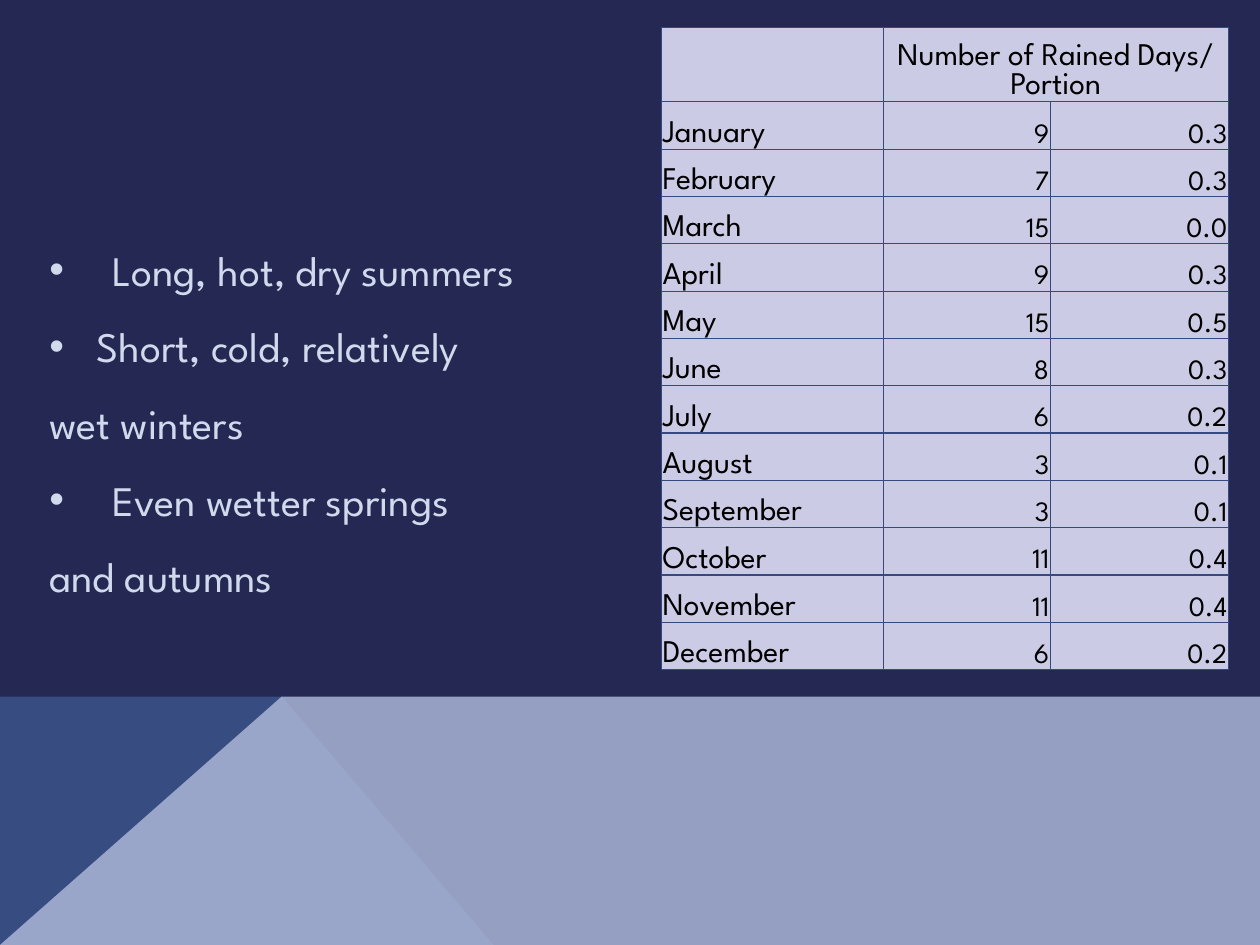
"""Build a climate slide with a list of seasons and a table of rainy days."""
import lxml.etree
import pptx
import pptx.dml.color
import pptx.enum.text
import pptx.oxml
import pptx.oxml.ns
import pptx.util

Pt = pptx.util.Pt
RGBColor = pptx.dml.color.RGBColor
ALIGN = pptx.enum.text.PP_ALIGN
ANCHOR = pptx.enum.text.MSO_ANCHOR
qn = pptx.oxml.ns.qn

FONT = "League Spartan"
NAVY = RGBColor(0x24, 0x28, 0x52)
BLUE = RGBColor(0x37, 0x4C, 0x81)
HAZE = RGBColor(0xB2, 0xBD, 0xDD)
PALE = RGBColor(0xD1, 0xD9, 0xEC)
LILAC = RGBColor(0xCB, 0xCB, 0xE5)
BORDER = RGBColor(0x34, 0x4A, 0x80)
BLACK = RGBColor(0, 0, 0)

SEASONS = [
    ("Long, hot, dry summers", 36),
    ("Short, cold, relatively", 27),
    ("wet winters", 0),
    ("Even wetter springs", 36),
    ("and autumns", 0),
]
HEADING = "Number of Rained Days/ Portion"
RAIN = [
    ("January", "9", "0.3"),
    ("February", "7", "0.3"),
    ("March", "15", "0.0"),
    ("April", "9", "0.3"),
    ("May", "15", "0.5"),
    ("June", "8", "0.3"),
    ("July", "6", "0.2"),
    ("August", "3", "0.1"),
    ("September", "3", "0.1"),
    ("October", "11", "0.4"),
    ("November", "11", "0.4"),
    ("December", "6", "0.2"),
]


def add_polygon(slide, points, color, opacity=100):
    """Draw a closed, borderless polygon through points given in points."""
    builder = slide.shapes.build_freeform(*points[0], scale=Pt(1))
    builder.add_line_segments(points[1:], close=True)
    shape = builder.convert_to_shape()
    shape.shadow.inherit = False
    shape.line.fill.background()
    shape.fill.solid()
    shape.fill.fore_color.rgb = color
    if opacity < 100:
        fill_color = shape.fill._xPr.find(".//" + qn("a:srgbClr"))
        alpha = lxml.etree.SubElement(fill_color, qn("a:alpha"))
        alpha.set("val", str(opacity * 1000))


def add_footer_band(slide, left, top, width, height):
    """Draw the overlapping slopes that fill the bottom band."""
    right, bottom = left + width, top + height
    peak = (left + 160.6, top)
    add_polygon(slide, [(left, bottom), (left, top), peak, (left + 281.5, bottom)], BLUE)
    add_polygon(slide, [(left, bottom), peak, (right, top), (right, bottom)], HAZE, 80)


def fill_season_list(body, left, top, width, height):
    """Place the body placeholder and write the season lines."""
    body.left, body.top, body.width, body.height = map(Pt, (left, top, width, height))
    frame = body.text_frame
    frame.word_wrap = True
    frame.auto_size = pptx.enum.text.MSO_AUTO_SIZE.NONE
    frame.vertical_anchor = ANCHOR.TOP
    for index, (text, indent) in enumerate(SEASONS):
        paragraph = frame.add_paragraph() if index else frame.paragraphs[0]
        paragraph.text = text
        paragraph.line_spacing = 1.0
        paragraph.space_before = Pt(8)
        paragraph.space_after = Pt(7)
        paragraph.font.name = FONT
        paragraph.font.size = Pt(24)
        paragraph.font.color.rgb = PALE
        properties = paragraph._p.get_or_add_pPr()
        properties.set("marL", str(Pt(indent)))
        properties.set("indent", str(-Pt(indent)))
        if indent:
            bullet_font = pptx.oxml.parse_xml(
                f'<a:buFont {pptx.oxml.ns.nsdecls("a")} typeface="Arial"/>')
            bullet = pptx.oxml.parse_xml(
                f'<a:buChar {pptx.oxml.ns.nsdecls("a")} char="•"/>')
            marks = [bullet_font, bullet]
        else:
            marks = [pptx.oxml.parse_xml(f'<a:buNone {pptx.oxml.ns.nsdecls("a")}/>')]
        position = list(properties).index(properties.find(qn("a:defRPr")))
        properties[position:position] = marks


def format_cell(cell, text, size, alignment):
    """Write one table cell with its fill, thin margins and borders."""
    cell.margin_left = cell.margin_right = cell.margin_top = Pt(0.7)
    cell.margin_bottom = 0
    cell.vertical_anchor = ANCHOR.BOTTOM
    properties = cell._tc.get_or_add_tcPr()
    for side in ("a:lnL", "a:lnR", "a:lnT", "a:lnB"):
        line = lxml.etree.SubElement(properties, qn(side), w=str(Pt(0.75)))
        line_fill = lxml.etree.SubElement(line, qn("a:solidFill"))
        lxml.etree.SubElement(line_fill, qn("a:srgbClr"), val=str(BORDER))
    cell.fill.solid()
    cell.fill.fore_color.rgb = LILAC
    paragraph = cell.text_frame.paragraphs[0]
    paragraph.text = text
    paragraph.alignment = alignment
    paragraph.font.name = FONT
    paragraph.font.size = Pt(size)
    paragraph.font.bold = False
    paragraph.font.color.rgb = BLACK


def add_rain_table(slide, left, top, width, height):
    """Add the monthly table of rainy days and their portion."""
    header_height = 42.4
    row_height = (height - header_height) / len(RAIN)
    box = map(Pt, (left, top, width, height))
    table = slide.shapes.add_table(len(RAIN) + 1, 3, *box).table
    table.first_row = table.horz_banding = False
    for column, share in zip(table.columns, (0.391, 0.295, 0.314)):
        column.width = Pt(width * share)
    rows = [("", HEADING, "")] + RAIN
    for row_index, values in enumerate(rows):
        table.rows[row_index].height = Pt(row_height if row_index else header_height)
        for column_index, text in enumerate(values):
            size, alignment = 18, ALIGN.LEFT
            if column_index:
                size, alignment = (16, ALIGN.RIGHT) if row_index else (18, ALIGN.CENTER)
            format_cell(table.cell(row_index, column_index), text, size, alignment)
    table.cell(0, 1).merge(table.cell(0, 2))


def main():
    """Assemble and save the slide."""
    presentation = pptx.Presentation()
    presentation.slide_width, presentation.slide_height = Pt(720), Pt(540)
    slide = presentation.slides.add_slide(presentation.slide_layouts[1])
    slide.background.fill.solid()
    slide.background.fill.fore_color.rgb = NAVY
    title, body = slide.placeholders
    title.element.getparent().remove(title.element)
    add_footer_band(slide, 0, 397.6, 720, 142.4)
    slide.shapes._spTree.append(body.element)
    fill_season_list(body, 21, 136, 333, 217.5)
    add_rain_table(slide, 378, 15.8, 324, 367)
    presentation.save("out.pptx")


if __name__ == "__main__":
    main()
